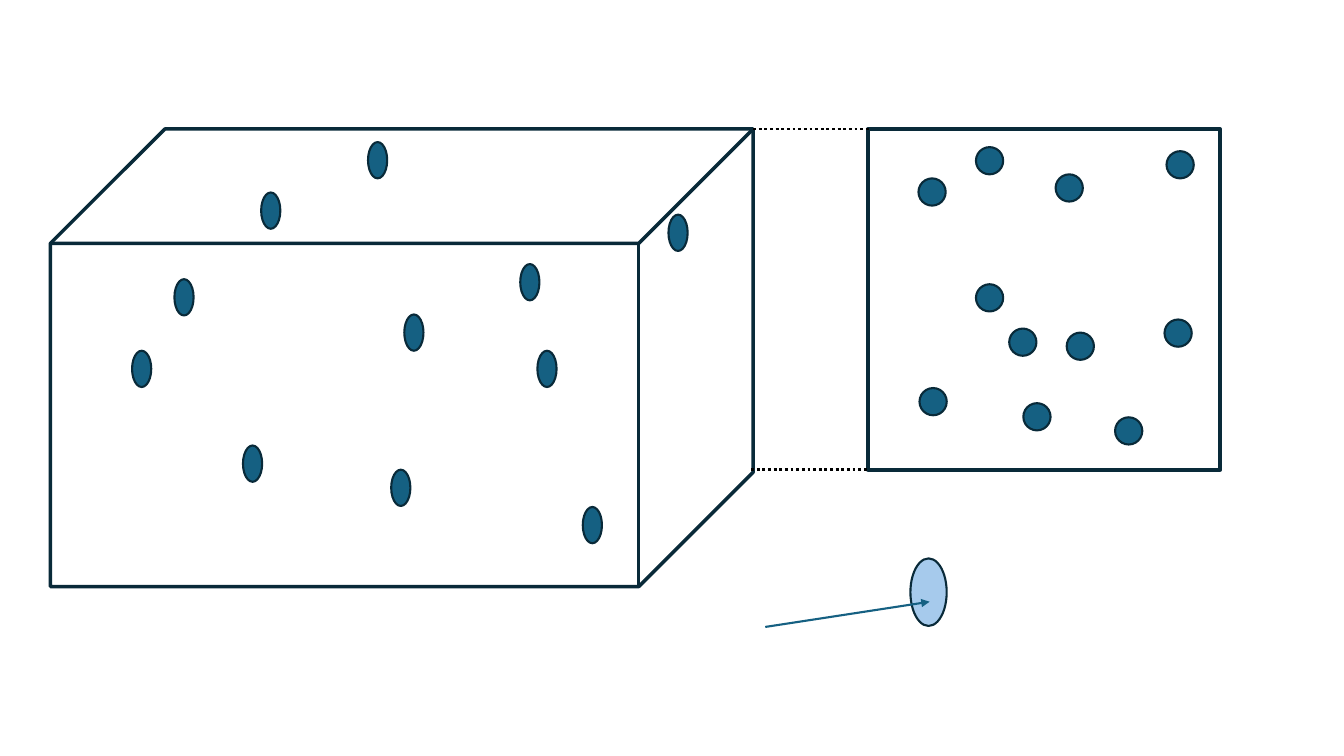
"""Draw a block with scattered particles beside its square cross-section."""
from dataclasses import dataclass

from lxml import etree
from pptx import Presentation
from pptx.dml.color import RGBColor
from pptx.enum import dml, shapes
from pptx.oxml import ns
from pptx.util import Inches, Pt


@dataclass(frozen=True)
class Theme:
    """Hold the colours and line widths."""
    edge: str = "092A39"
    teal: str = "156082"
    pale: str = "A6CAEC"
    black: str = "000000"
    thin: float = 1.5
    dots: float = 2
    block: float = 2.5
    frame: float = 3


theme = Theme()
kinds = shapes.MSO_SHAPE
deck = Presentation()
deck.slide_width, deck.slide_height = Inches(13.33), Inches(7.5)
slide = deck.slides.add_slide(deck.slide_layouts[6])


def add_form(kind, box, width, fill=None):
    """Add an outlined shape, filled if a colour is given."""
    form = slide.shapes.add_shape(kind, *map(Inches, box))
    form.shadow.inherit = False
    form.line.color.rgb = RGBColor.from_string(theme.edge)
    form.line.width = Pt(width)
    if fill:
        form.fill.solid()
        form.fill.fore_color.rgb = RGBColor.from_string(fill)
    else:
        form.fill.background()


def add_line(start, end, color, width):
    """Add a straight line without a shadow."""
    ends = map(Inches, (*start, *end))
    link = slide.shapes.add_connector(shapes.MSO_CONNECTOR.STRAIGHT, *ends)
    link.line.color.rgb = RGBColor.from_string(color)
    link.line.width = Pt(width)
    etree.SubElement(link._element.spPr, ns.qn("a:effectLst"))
    return link


add_form(kinds.CUBE, (0.5, 1.28, 6.97, 4.54), theme.block)
grains = [
    (1.73, 2.77), (2.41, 4.42), (2.59, 1.91), (4.01, 3.12),
    (3.65, 1.41), (1.31, 3.48), (5.78, 5.03), (6.63, 2.13),
    (5.33, 3.48), (5.16, 2.62), (3.88, 4.66),
]
for left, top in grains:
    add_form(kinds.OVAL, (left, top, 0.19, 0.36), theme.thin, theme.teal)

add_form(kinds.RECTANGLE, (8.61, 1.28, 3.49, 3.38), theme.frame)
spots = [
    (9.11, 1.77), (9.68, 1.46), (10.01, 3.26), (9.12, 3.85),
    (9.68, 2.82), (10.47, 1.73), (11.55, 3.17), (11.06, 4.14),
    (10.15, 4), (11.57, 1.5), (10.58, 3.3),
]
for left, top in spots:
    add_form(kinds.OVAL, (left, top, 0.27, 0.27), theme.thin, theme.teal)

for start, end in [((7.47, 1.28), (8.64, 1.28)), ((7.45, 4.66), (8.61, 4.66))]:
    guide = add_line(start, end, theme.black, theme.dots)
    guide.line.dash_style = dml.MSO_LINE.ROUND_DOT

add_form(kinds.OVAL, (9.03, 5.54, 0.36, 0.67), theme.thin, theme.pale)
arrow = add_line((7.59, 6.22), (9.22, 5.97), theme.teal, theme.thin)
etree.SubElement(arrow.line._get_or_add_ln(), ns.qn("a:tailEnd"), type="triangle")

deck.save("out.pptx")
